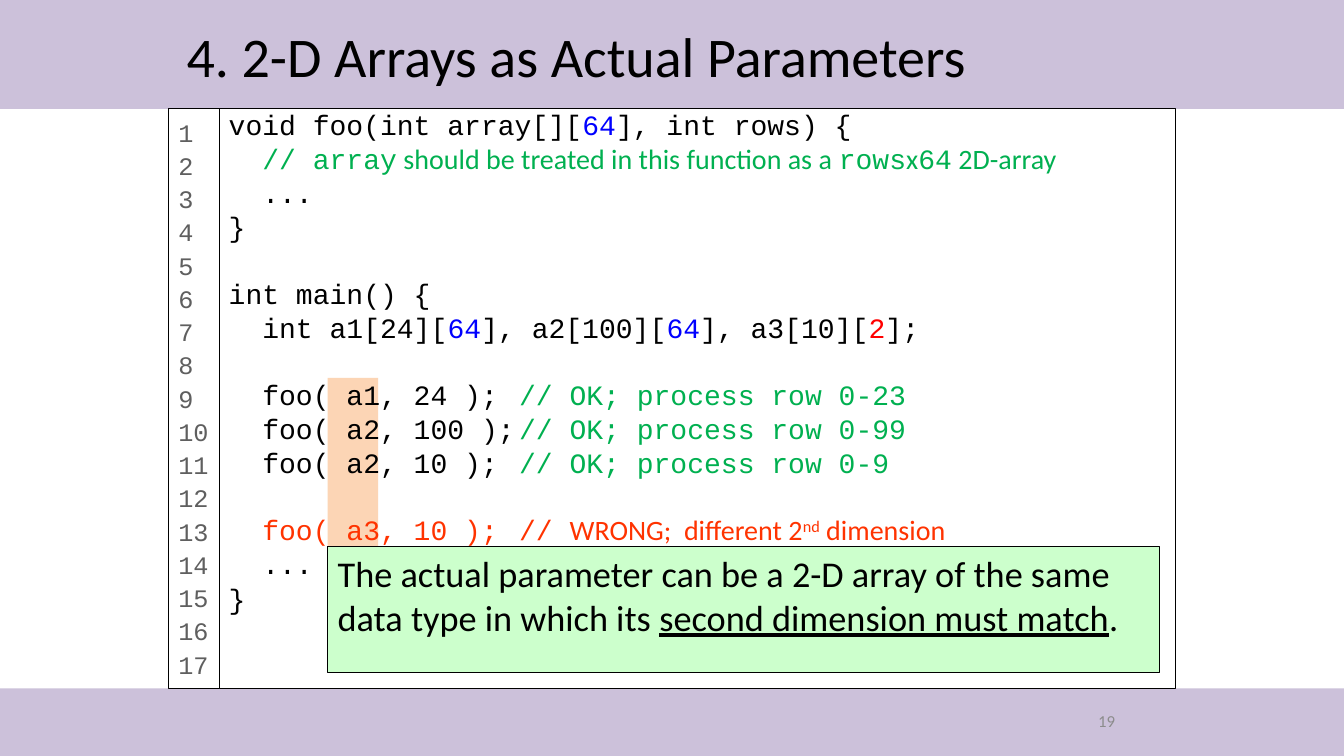
from pptx import Presentation
from pptx.dml.color import RGBColor
from pptx.enum.shapes import MSO_SHAPE
from pptx.enum.text import MSO_ANCHOR, PP_ALIGN
from pptx.util import Inches, Pt

COLORS = {
    "band": "CCC1DA",
    "highlight": "FCD5B5",
    "note": "CCFFCC",
    "white": "FFFFFF",
    "black": "000000",
    "blue": "0000FF",
    "red": "FF0000",
    "green": "00B050",
    "orange": "FF3300",
    "line number": "5F5F5F",
    "page number": "8C8C8C",
}
CODE_FONT = "Courier New"
TEXT_FONT = "Calibri"
LINE_GAP = 5.2
LINE_PITCH = 23.3


def add_box(left, top, width, height, fill=None, border=False):
    box = page.shapes.add_shape(
        MSO_SHAPE.RECTANGLE, Inches(left), Inches(top), Inches(width), Inches(height)
    )
    box.shadow.inherit = False
    if fill:
        box.fill.solid()
        box.fill.fore_color.rgb = RGBColor.from_string(COLORS[fill])
    else:
        box.fill.background()
    if border:
        box.line.color.rgb = RGBColor.from_string(COLORS["black"])
        box.line.width = Pt(0.75)
    else:
        box.line.fill.background()
    box.text_frame.word_wrap = True
    box.text_frame.vertical_anchor = MSO_ANCHOR.TOP
    return box


def set_font(font, size=None, name=None, color=None):
    if size:
        font.size = Pt(size)
    if name:
        font.name = name
    if color:
        font.color.rgb = RGBColor.from_string(COLORS[color])


deck = Presentation()
deck.slide_width = Inches(13.33)
deck.slide_height = Inches(7.5)
page = deck.slides.add_slide(deck.slide_layouts[5])

add_box(0, 0, 13.33, 1.08, "band")
add_box(0, 6.83, 13.33, 0.67, "band")
add_box(3.25, 3.75, 0.5, 1.67, "highlight")

title = page.shapes.title
title.element.getparent().append(title.element)
title.left, title.top = Inches(1.75), Inches(0.18)
title.width, title.height = Inches(9.75), Inches(0.74)
title.text_frame.text = "4. 2-D Arrays as Actual Parameters"
title.text_frame.vertical_anchor = MSO_ANCHOR.MIDDLE
para = title.text_frame.paragraphs[0]
para.alignment = PP_ALIGN.LEFT
set_font(para.font, 40, TEXT_FONT, "black")

code_lines = [
    (0, [("void foo(int array[][", "black"), ("64", "blue"), ("], int rows) {", "black")]),
    (0, [
        ("  // array", "green"),
        (" should be treated in this function as a ", "green", TEXT_FONT),
        ("rows", "green"),
        ("x", "green", TEXT_FONT),
        ("64", "green"),
        (" 2D-array", "green", TEXT_FONT),
    ]),
    (0, [("  ...", "black")]),
    (0, [("}", "black")]),
    (1, [("int main() {", "black")]),
    (0, [
        ("  int a1[24][", "black"),
        ("64", "blue"),
        ("], a2[100][", "black"),
        ("64", "blue"),
        ("], a3[10][", "black"),
        ("2", "red"),
        ("];", "black"),
    ]),
    (1, [("  foo( a1, 24 );\t", "black"), ("// OK; process row 0-23", "green")]),
    (0, [("  foo( a2, 100 );\t", "black"), ("// OK; process row 0-99", "green")]),
    (0, [("  foo( a2, 10 );\t", "black"), ("// OK; process row 0-9", "green")]),
    (1, [
        ("  foo( a3, 10 );\t// ", "orange"),
        ("WRONG;  different 2", "orange", TEXT_FONT),
        ("nd", "orange", TEXT_FONT),
        (" dimension", "orange", TEXT_FONT),
    ]),
    (0, [("  ...", "black")]),
    (0, [("}", "black")]),
]
code_frame = add_box(2.17, 1.08, 9.49, 5.75, border=True).text_frame
for index, (skipped_lines, spans) in enumerate(code_lines):
    para = code_frame.add_paragraph() if index else code_frame.paragraphs[0]
    para.alignment = PP_ALIGN.LEFT
    para.line_spacing = 0.8
    if index:
        para.space_before = Pt(LINE_GAP + skipped_lines * LINE_PITCH)
    properties = para._p.get_or_add_pPr()
    properties.set("marL", str(Inches(0.38)))
    properties.set("indent", str(-Inches(0.38)))
    set_font(para.font, 20)
    for text, color, *special_font in spans:
        span = para.add_run()
        span.text = text
        set_font(span.font, name=special_font[0] if special_font else CODE_FONT, color=color)
        if text == "nd":
            span.font._element.set("baseline", "30000")

number_frame = add_box(1.67, 1.08, 0.51, 5.75, "white", border=True).text_frame
number_frame.margin_right = 0
for number in range(1, 18):
    para = number_frame.paragraphs[0] if number == 1 else number_frame.add_paragraph()
    para.text = str(number)
    para.alignment = PP_ALIGN.LEFT
    para.line_spacing = 1.1
    set_font(para.font, 18, CODE_FONT, "line number")

note = add_box(3.25, 5.42, 8.25, 1.25, "note", border=True)
para = note.text_frame.paragraphs[0]
para.alignment = PP_ALIGN.LEFT
set_font(para.font, 25.9, TEXT_FONT, "black")
for text, underlined in [
    ("The actual parameter can be a 2-D array of the same data type in which its ", False),
    ("second dimension must match", True),
    (".", False),
]:
    span = para.add_run()
    span.text = text
    span.font.underline = underlined
    set_font(span.font, color="black")

page_number = page.shapes.add_textbox(Inches(8.83), Inches(6.95), Inches(2.33), Inches(0.4))
page_number.text_frame.word_wrap = True
page_number.text_frame.vertical_anchor = MSO_ANCHOR.MIDDLE
para = page_number.text_frame.paragraphs[0]
para.text = "19"
para.alignment = PP_ALIGN.RIGHT
set_font(para.font, 12, TEXT_FONT, "page number")

deck.save("out.pptx")
